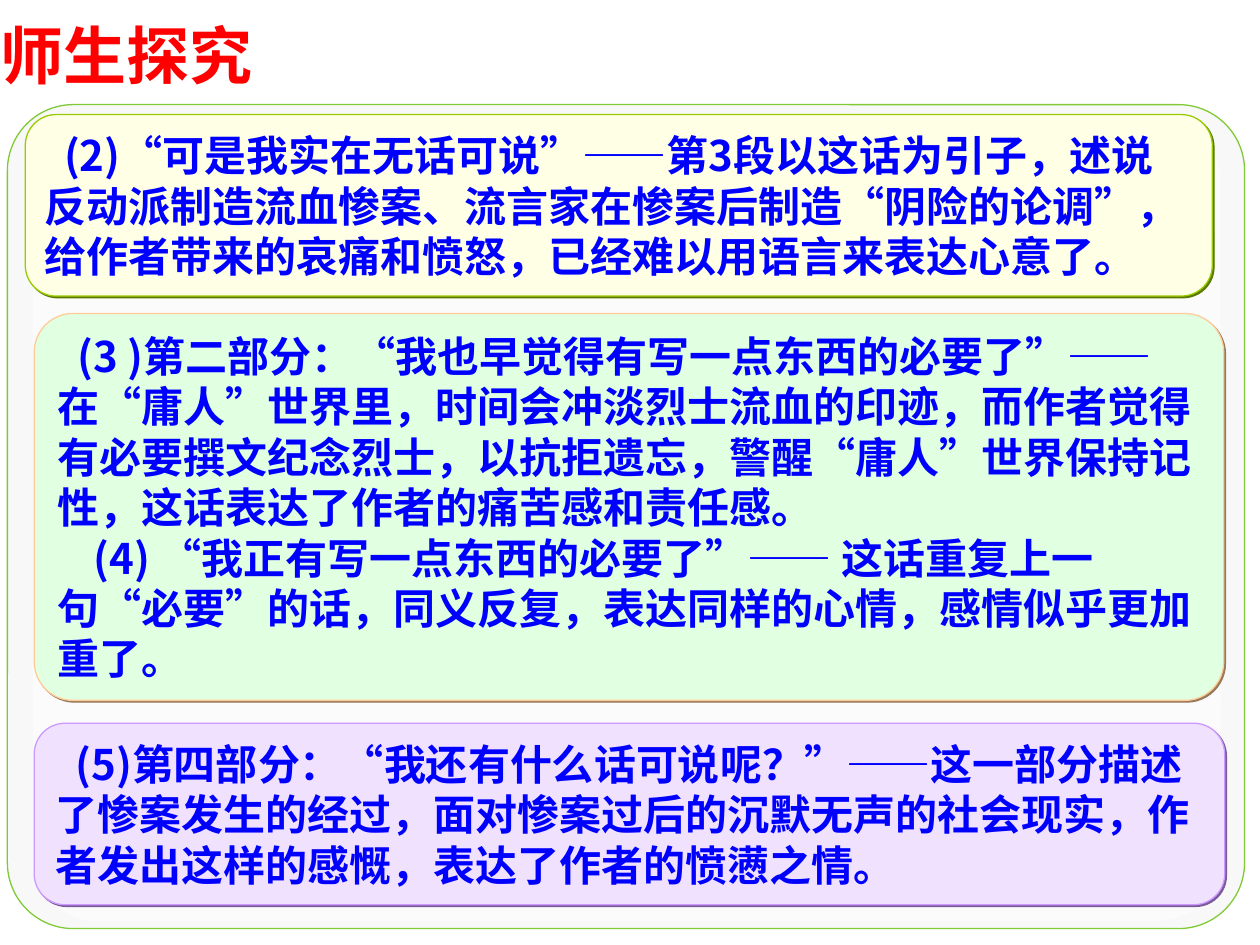
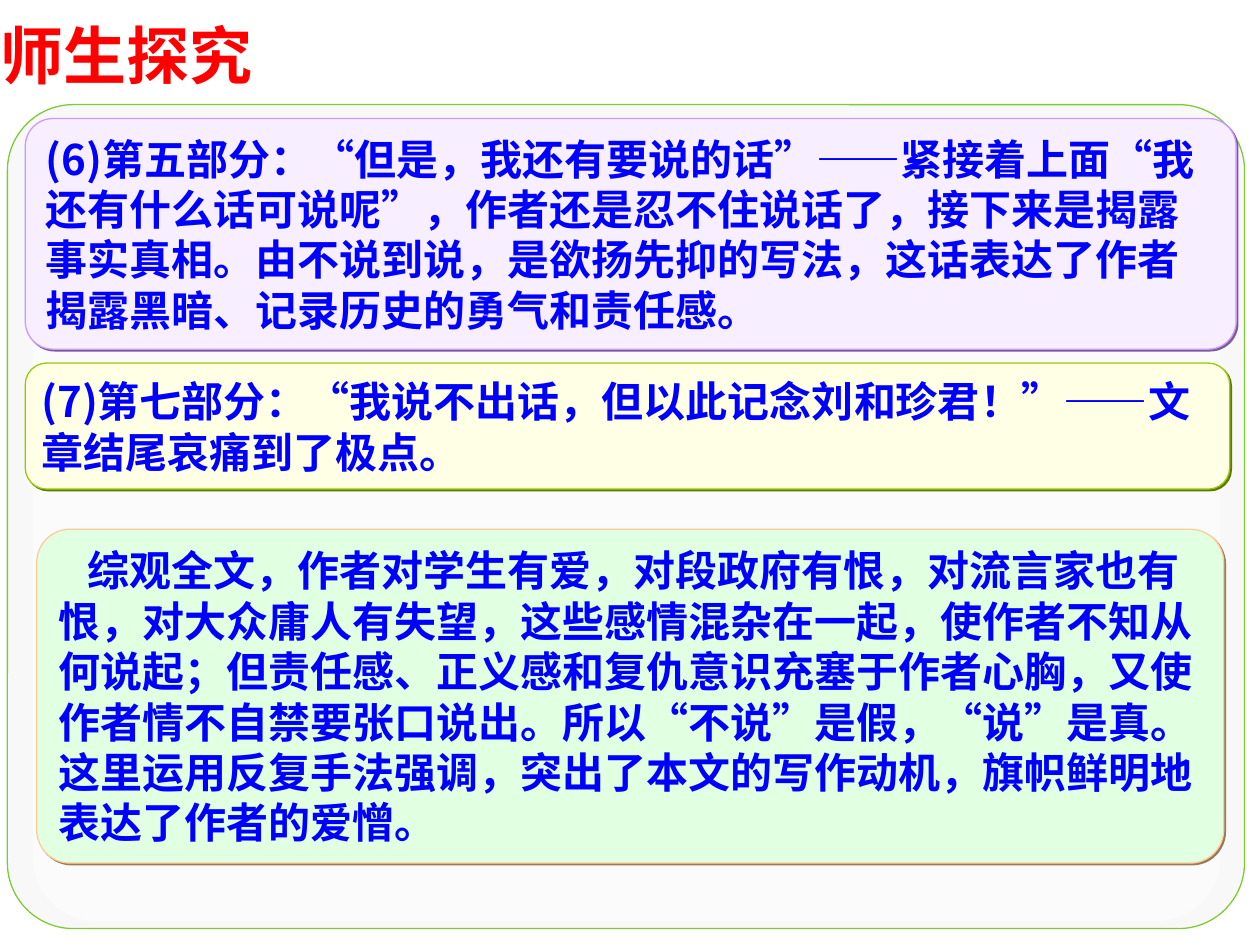
from dataclasses import dataclass

from lxml.etree import SubElement
from pptx import Presentation
from pptx.dml.color import RGBColor
from pptx.enum.shapes import MSO_SHAPE
from pptx.enum.text import MSO_ANCHOR, MSO_AUTO_SIZE, PP_ALIGN
from pptx.oxml.ns import qn
from pptx.util import Cm, Pt

CJK_FONT = "Noto Sans CJK SC"
TITLE_FONT = "Arial"
TITLE_RED = RGBColor(0xFF, 0x00, 0x00)
TITLE_SHADOW = RGBColor(0x80, 0x80, 0x80)
TEXT_BLUE = RGBColor(0x00, 0x00, 0xFF)
WHITE = RGBColor(0xFF, 0xFF, 0xFF)
FRAME_GREY = RGBColor(0xF8, 0xF8, 0xF8)
FRAME_GREEN = RGBColor(0x80, 0xCB, 0x35)
TITLE_ONLY = 5


@dataclass(frozen=True)
class CardStyle:
    fill: RGBColor
    line: RGBColor
    shadow: RGBColor
    left_inset: float = 0.25


VIOLET_LINE = RGBColor(0xCC, 0x99, 0xFF)
VIOLET_SHADOW = RGBColor(0x79, 0x5B, 0x98)
YELLOW = CardStyle(RGBColor(0xFF, 0xFF, 0xE5), RGBColor(0x99, 0xCC, 0x00),
                   RGBColor(0x5B, 0x79, 0x00), 0.2)
GREEN = CardStyle(RGBColor(0xE1, 0xFF, 0xE1), RGBColor(0xFF, 0xCC, 0x99),
                  RGBColor(0x98, 0x79, 0x5B))
VIOLET = CardStyle(RGBColor(0xF0, 0xE1, 0xFF), VIOLET_LINE, VIOLET_SHADOW)
PALE_VIOLET = CardStyle(RGBColor(0xF7, 0xEF, 0xFF), VIOLET_LINE, VIOLET_SHADOW)

# Each card: style, box (left, top, width, height in cm), corner ratio,
# paragraphs as (first-line indent in cm, text)
SLIDES = [
    [
        (YELLOW, (0.51, 2.31, 23.93, 3.66), 0.17, [
            (0.4, "(2)“可是我实在无话可说”——第3段以这话为引子，述说反动派制造流血惨案、"
                  "流言家在惨案后制造“阴险的论调”，给作者带来的哀痛和愤怒，"
                  "已经难以用语言来表达心意了。"),
        ]),
        (GREEN, (0.69, 6.32, 23.98, 7.8), 0.1, [
            (0.4, "(3 )第二部分：“我也早觉得有写一点东西的必要了”——在“庸人”世界里，"
                  "时间会冲淡烈士流血的印迹，而作者觉得有必要撰文纪念烈士，以抗拒遗忘，"
                  "警醒“庸人”世界保持记性，这话表达了作者的痛苦感和责任感。"),
            (0.72, "(4) “我正有写一点东西的必要了”—— 这话重复上一句“必要”的话，"
                   "同义反复，表达同样的心情，感情似乎更加重了。"),
        ]),
        (VIOLET, (0.69, 14.58, 24, 3.66), 0.17, [
            (0.4, "(5)第四部分：“我还有什么话可说呢？”——这一部分描述了惨案发生的经过，"
                  "面对惨案过后的沉默无声的社会现实，作者发出这样的感慨，"
                  "表达了作者的愤懑之情。"),
        ]),
    ],
    [
        (PALE_VIOLET, (0.51, 2.39, 24.41, 4.65), 0.12, [
            (0, "(6)第五部分：“但是，我还有要说的话”——紧接着上面“我还有什么话可说呢”，"
                "作者还是忍不住说话了，接下来是揭露事实真相。由不说到说，"
                "是欲扬先抑的写法，这话表达了作者揭露黑暗、记录历史的勇气和责任感。"),
        ]),
        (YELLOW, (0.51, 7.32, 24.28, 2.54), 0.17, [
            (0, "(7)第七部分：“我说不出话，但以此记念刘和珍君！”——文章结尾哀痛到了极点。"),
        ]),
        (GREEN, (0.74, 10.67, 23.93, 6.73), 0.1, [
            (0.58, "综观全文，作者对学生有爱，对段政府有恨，对流言家也有恨，"
                   "对大众庸人有失望，这些感情混杂在一起，使作者不知从何说起；"
                   "但责任感、正义感和复仇意识充塞于作者心胸，"
                   "又使作者情不自禁要张口说出。所以“不说”是假，“说”是真。"),
            (0, "这里运用反复手法强调，突出了本文的写作动机，旗帜鲜明地表达了作者的爱憎。"),
        ]),
    ],
]


def set_font(paragraph, latin, size, color):
    """Format a bold paragraph, with the shared font for Chinese characters."""
    font = paragraph.font
    font.name, font.size, font.bold = latin, Pt(size), True
    font.color.rgb = color
    defaults = paragraph._p.get_or_add_pPr().find(qn("a:defRPr"))
    SubElement(defaults, qn("a:ea"), typeface=CJK_FONT)


def add_outer_shadow(effects, color, distance):
    """Add a sharp shadow to the lower right."""
    shadow = SubElement(effects, qn("a:outerShdw"), dist=str(Pt(distance)),
                        dir="2700000", algn="ctr", rotWithShape="0")
    SubElement(shadow, qn("a:srgbClr"), val=str(color))


def set_insets(frame, left, top, right, bottom):
    frame.margin_left, frame.margin_top = Cm(left), Cm(top)
    frame.margin_right, frame.margin_bottom = Cm(right), Cm(bottom)


def add_panel(shapes, box, corner, fill, line=None):
    """Add a rounded rectangle, outlined if a line colour is given."""
    panel = shapes.add_shape(MSO_SHAPE.ROUNDED_RECTANGLE, *map(Cm, box))
    panel.adjustments[0] = corner
    panel.shadow.inherit = False
    panel.fill.solid()
    panel.fill.fore_color.rgb = fill
    if line is None:
        panel.line.fill.background()
    else:
        panel.line.color.rgb = line
        panel.line.width = Pt(0.75)
    return panel


def add_frame(slide, left, top, width, height):
    """Add the large outlined frame with its half-transparent inner panel."""
    shapes = slide.shapes.add_group_shape().shapes
    add_panel(shapes, (left, top, width, height), 0.08, FRAME_GREY, FRAME_GREEN)
    inner = add_panel(shapes, (left + 0.51, top + 0.28, width - 0.99, height - 0.43),
                      0.08, WHITE)
    color = inner._element.spPr.find(qn("a:solidFill")).find(qn("a:srgbClr"))
    SubElement(color, qn("a:alpha"), val="50000")


def fill_title(slide, text, left, top, width, height):
    title = slide.shapes.title
    title.left, title.top = Cm(left), Cm(top)
    title.width, title.height = Cm(width), Cm(height)
    frame = title.text_frame
    frame.auto_size = MSO_AUTO_SIZE.NONE
    frame.vertical_anchor = MSO_ANCHOR.MIDDLE
    set_insets(frame, 0, 0, 0, 0)
    paragraph = frame.paragraphs[0]
    paragraph.alignment = PP_ALIGN.LEFT
    run = paragraph.add_run()
    run.text = text
    effects = SubElement(run._r.get_or_add_rPr(), qn("a:effectLst"))
    add_outer_shadow(effects, TITLE_SHADOW, 2)
    set_font(paragraph, TITLE_FONT, 36, TITLE_RED)


def add_card(slide, style, box, corner, passages):
    card = add_panel(slide.shapes, box, corner, style.fill, style.line)
    effects = card._element.spPr.find(qn("a:effectLst"))
    add_outer_shadow(effects, style.shadow, 1.4)
    frame = card.text_frame
    frame.word_wrap = True
    frame.vertical_anchor = MSO_ANCHOR.MIDDLE
    set_insets(frame, style.left_inset, 0.13, 0.25, 0.13)
    for number, (indent, text) in enumerate(passages):
        paragraph = frame.add_paragraph() if number else frame.paragraphs[0]
        paragraph.text = text
        paragraph.alignment = PP_ALIGN.LEFT
        paragraph._p.get_or_add_pPr().set("indent", str(Cm(indent)))
        set_font(paragraph, CJK_FONT, 24, TEXT_BLUE)


def add_discussion_slide(deck, cards):
    slide = deck.slides.add_slide(deck.slide_layouts[TITLE_ONLY])
    add_frame(slide, 0.15, 2.11, 24.94, 16.61)
    fill_title(slide, "师生探究", 0, 0.33, 8.51, 1.52)
    for card in cards:
        add_card(slide, *card)


def main():
    deck = Presentation()
    deck.slide_width, deck.slide_height = Cm(25.4), Cm(19.05)
    for cards in SLIDES:
        add_discussion_slide(deck, cards)
    deck.save("out.pptx")


if __name__ == "__main__":
    main()
